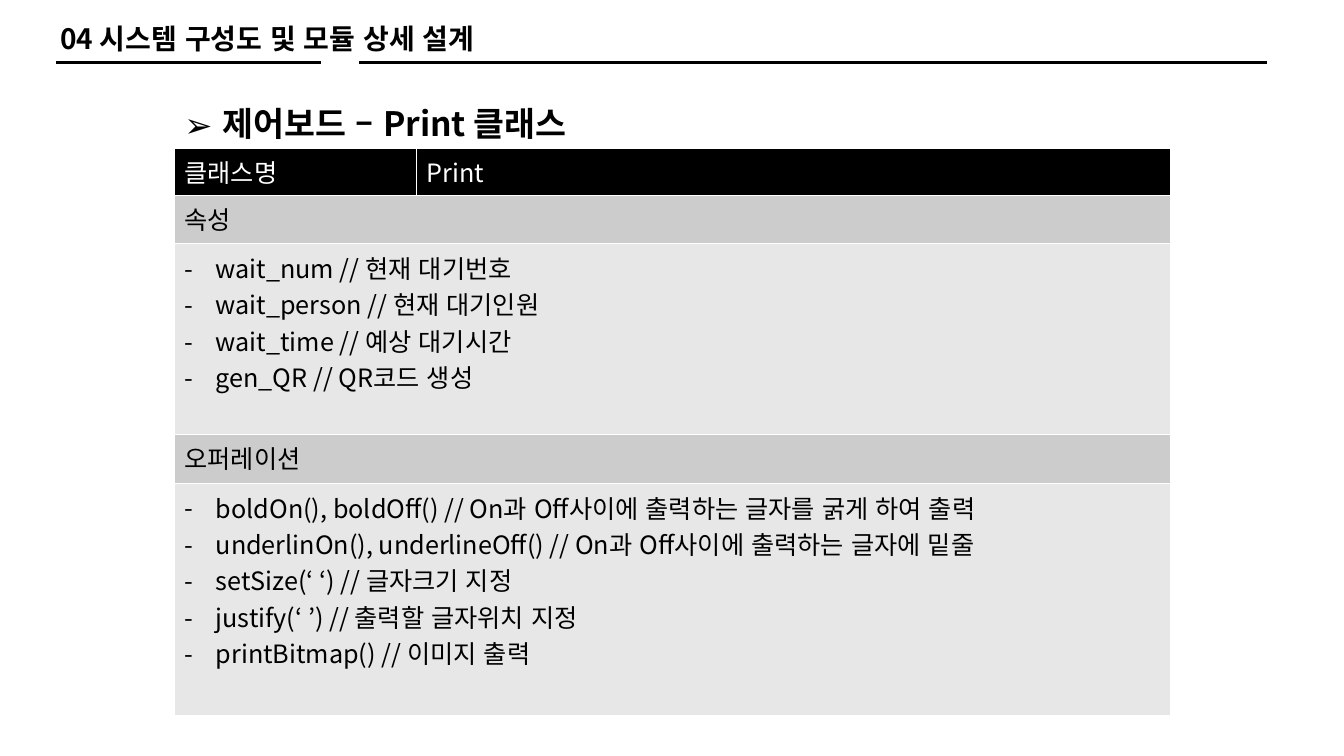
from lxml import etree
from pptx import Presentation
from pptx.dml.color import RGBColor
from pptx.enum.lang import MSO_LANGUAGE_ID
from pptx.enum.shapes import MSO_CONNECTOR
from pptx.enum.text import MSO_AUTO_SIZE
from pptx.oxml.ns import qn
from pptx.util import Inches, Pt

STRAIGHT = MSO_CONNECTOR.STRAIGHT
FIT_SHAPE = MSO_AUTO_SIZE.SHAPE_TO_FIT_TEXT
KOREAN = MSO_LANGUAGE_ID.KOREAN
FONT = "Noto Sans CJK KR"
BLACK, WHITE, SECTION, BODY = "000000", "FFFFFF", "CCCCCC", "E7E7E7"

COLUMNS = [2.4, 7.48]
HEADER = ["클래스명", "Print"]
# Each section: title, title row height, members, members row height
SECTIONS = [
    ("속성", 0.48, [
        "wait_num // 현재 대기번호",
        "wait_person // 현재 대기인원",
        "wait_time // 예상 대기시간",
        "gen_QR // QR코드 생성",
    ], 1.89),
    ("오퍼레이션", 0.49, [
        "boldOn(), boldOff() // On과 Off사이에 출력하는 글자를 굵게 하여 출력",
        "underlinOn(), underlineOff() // On과 Off사이에 출력하는 글자에 밑줄",
        "setSize(‘ ‘) // 글자크기 지정",
        "justify(‘ ’) // 출력할 글자위치 지정",
        "printBitmap() // 이미지 출력",
    ], 2.3),
]


def color(value):
    """Turn a hex string into a colour."""
    return RGBColor.from_string(value)


def write(frame, lines, size, shade=BLACK, bold=False, bullet=None, indent=0):
    """Fill a text frame with one paragraph per line."""
    style = {"size": Pt(size), "bold": bold, "name": FONT,
             "language_id": KOREAN}
    for index, line in enumerate(lines):
        para = frame.paragraphs[0] if index == 0 else frame.add_paragraph()
        span = para.add_run()
        span.text = line
        for name, value in style.items():
            setattr(span.font, name, value)
        span.font.color.rgb = color(shade)
        etree.SubElement(span.font._element, qn("a:ea"), typeface=FONT)
        if bullet:
            props = para._p.get_or_add_pPr()
            props.set("marL", str(Inches(indent)))
            props.set("indent", str(-Inches(indent)))
            etree.SubElement(props, qn("a:buFont"), typeface=FONT)
            etree.SubElement(props, qn("a:buChar"), char=bullet)


def add_text(page, box, line, size, wrap=True, **style):
    """Place a bold one-line text in a box."""
    frame = page.shapes.add_textbox(*map(Inches, box)).text_frame
    frame.word_wrap = wrap
    frame.auto_size = FIT_SHAPE
    write(frame, [line], size, bold=True, **style)


def add_rule(page, start, end, top):
    """Draw a horizontal black line."""
    rule = page.shapes.add_connector(
        STRAIGHT, *map(Inches, (start, top, end, top)))
    rule.line.color.rgb = color(BLACK)
    rule.line.width = Pt(1.5)
    etree.SubElement(rule._element.spPr, qn("a:effectLst"))


def paint_cell(cell, fill):
    """Give a cell its fill and thin white borders."""
    cell.fill.solid()
    cell.fill.fore_color.rgb = color(fill)
    props = cell._tc.get_or_add_tcPr()
    for index, side in enumerate(["lnL", "lnR", "lnT", "lnB"]):
        border = etree.Element(qn("a:" + side), w=str(Pt(1)))
        paint = etree.SubElement(border, qn("a:solidFill"))
        etree.SubElement(paint, qn("a:srgbClr"), val=WHITE)
        props.insert(index, border)


def add_heading(page, box):
    """Place the chapter heading over its two rules."""
    left, top, _, _ = box
    add_text(page, box, "04 시스템 구성도 및 모듈 상세 설계", 20)
    for start, end in [(0.06, 2.68), (3.06, 12.07)]:
        add_rule(page, left + start, left + end, top + 0.46)


def add_class_table(page, box):
    """Build the class table: a header row, then title and members rows."""
    rows = [(0.47, BLACK, None)]
    for title, title_height, members, members_height in SECTIONS:
        rows.append((title_height, SECTION, ([title], {})))
        rows.append((members_height, BODY,
                     (members, {"bullet": "-", "indent": 0.31})))
    table = page.shapes.add_table(
        len(rows), len(COLUMNS), *map(Inches, box)).table
    for column, width in zip(table.columns, COLUMNS):
        column.width = Inches(width)
    for index, (height, fill, content) in enumerate(rows):
        table.rows[index].height = Inches(height)
        cells = list(table.rows[index].cells)
        for cell in cells:
            paint_cell(cell, fill)
        if content:
            cells[0].merge(cells[-1])
            lines, style = content
            write(cells[0].text_frame, lines, 18, **style)
        else:
            for cell, label in zip(cells, HEADER):
                write(cell.text_frame, [label], 18, WHITE)


def build_page(deck):
    """Add the slide with its table, heading and subtitle."""
    page = deck.slides.add_slide(deck.slide_layouts[6])
    add_class_table(page, (1.73, 1.47, sum(COLUMNS), 5.63))
    add_heading(page, (0.5, 0.16, 4.55, 0.44))
    add_text(page, (1.73, 0.97, 4.17, 0.5), "제어보드 – Print 클래스", 24,
             wrap=False, bullet="➢", indent=0.38)


deck = Presentation()
deck.slide_width, deck.slide_height = Inches(13.33), Inches(7.5)
build_page(deck)
deck.save("out.pptx")
